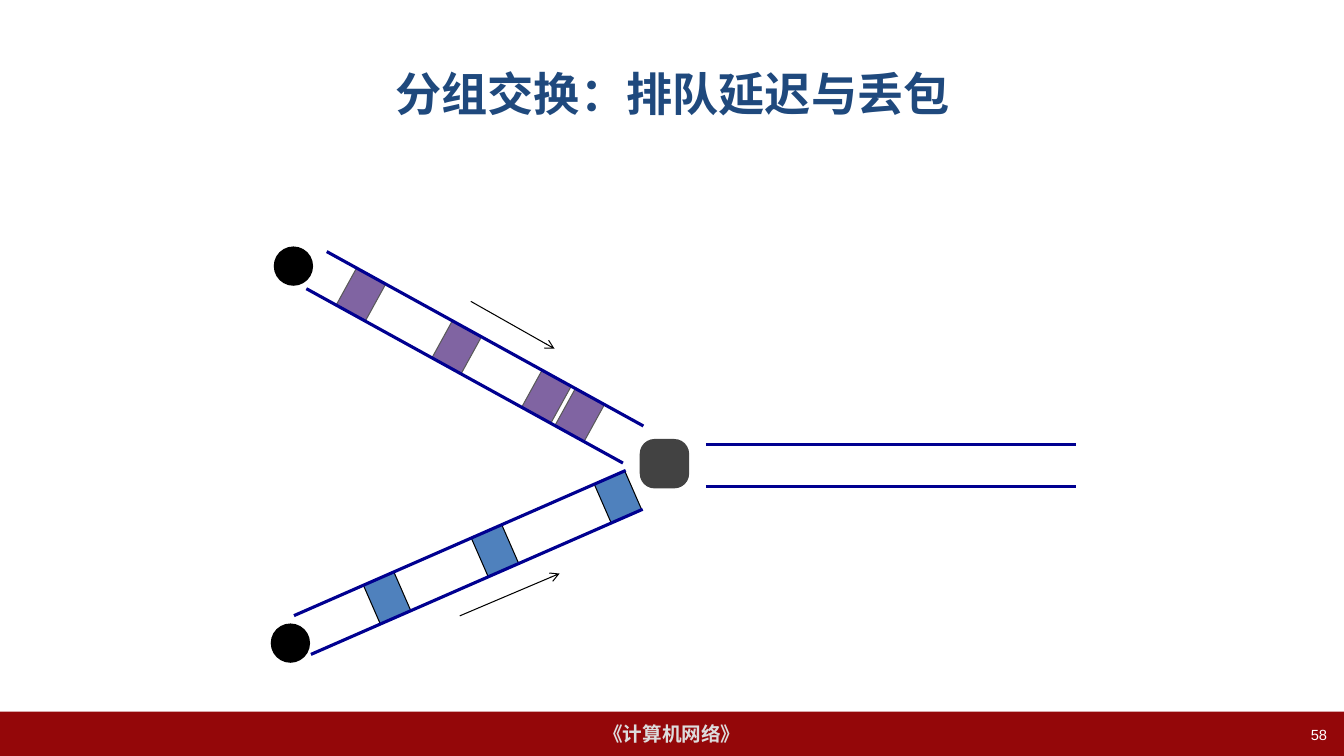
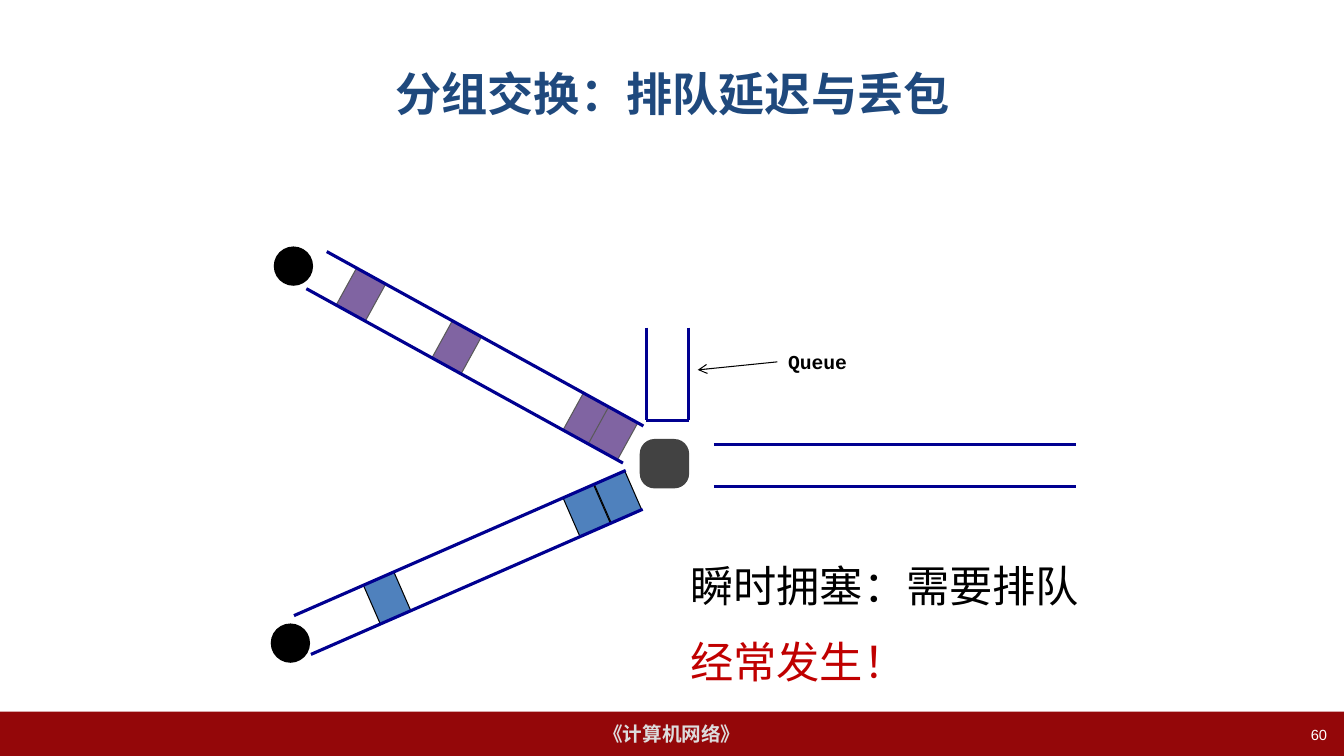
from math import atan2, cos, degrees, hypot, sin
from pptx import Presentation, util as u
from pptx.dml.color import RGBColor
from pptx.enum import shapes as es, text as et
from pptx.oxml.ns import qn
from lxml import etree

# Content: packets are horizontal offsets from the start of their lane
TITLE = "分组交换：排队延迟与丢包"
COURSE = "《计算机网络》"
PAGES = [
    dict(num="58", top=[.44, 1.39, 2.28, 2.61], low=[.84, 1.91, 3.13],
         out=7, arrows=[((4.67, 2.99), (5.5, 3.46)),
                        ((4.56, 6.11), (5.55, 5.69))]),
    dict(num="60", top=[.44, 1.39, 2.69, 2.94], low=[.84, 2.82, 3.13],
         out=7.08, queue="Queue",
         notes=[("瞬时拥塞：需要排队", "ink"), ("经常发生！", "red")]),
]


class Theme:
    font, mono = "Arial", "Courier New"
    title, note, label, foot, num = 33, 30.9, 14.1, 14, 10.5
    thick, thin = 2.25, .75
    hue = dict(ink="000000", red="C00000", head="1F497D", band="940709",
               pale="DDDDDD", white="FFFFFF", lane="000090", box="424242",
               top="8064A2", low="4F81BD", edge="595959")


# Geometry in inches
W, H = 13.33, 7.5
BAND = .44
LANE = .42                      # width of every lane
PACK = .33                      # length of a packet
TOP = (3.14, 2.68), (6.28, 4.41)
LOW = (3, 6.3), (6.29, 4.86)
HOSTS = (2.91, 2.64), (2.88, 6.38)
MID = 4.62                      # height of the outgoing lane
SWITCH = 6.59, 4.6
QUEUE = (6.62, 3.25), (6.62, 4.17)


def rgb(key):
    return RGBColor.from_string(Theme.hue[key])


def shape(page, kind, mid, size, fill, edge=None, turn=0):
    (x, y), (w, h) = mid, size
    s = page.shapes.add_shape(kind, *map(u.Inches, (x - w / 2, y - h / 2, w, h)))
    s.shadow.inherit = False
    s.fill.solid()
    s.fill.fore_color.rgb = rgb(fill)
    if edge:
        s.line.color.rgb = rgb(edge)
        s.line.width = u.Pt(Theme.thin)
    else:
        s.line.fill.background()
    s.rotation = turn
    return s


def line(page, a, b, hue="lane", wide=Theme.thick, head=False):
    c = page.shapes.add_connector(es.MSO_CONNECTOR.STRAIGHT,
                                  *map(u.Inches, a + b))
    c.line.color.rgb = rgb(hue)
    c.line.width = u.Pt(wide)
    if head:
        etree.SubElement(c.line._get_or_add_ln(), qn("a:tailEnd"), type="arrow")
    etree.SubElement(c._element.spPr, qn("a:effectLst"))
    return c


def arrow(page, a, b):
    return line(page, a, b, "ink", Theme.thin, True)


def write(frame, words, size, hue, align="LEFT", bold=False, font=Theme.font):
    p = frame.paragraphs[0]
    p.alignment = getattr(et.PP_ALIGN, align)
    r = p.add_run()
    r.text = words
    f = r.font
    f.name, f.size, f.bold = font, u.Pt(size), bold
    f.color.rgb = rgb(hue)


def label(page, at, *args, wrap=True, anchor="TOP", **look):
    box = page.shapes.add_textbox(*map(u.Inches, at))
    box.text_frame.word_wrap = wrap
    box.text_frame.vertical_anchor = getattr(et.MSO_ANCHOR, anchor)
    write(box.text_frame, *args, **look)
    return box


def lane(page, a, b, packs=(), fill=None, edge=None):
    """Draw packets between two parallel walls; return the wall ends at b."""
    dx, dy = b[0] - a[0], b[1] - a[1]
    ang = atan2(dy, dx)
    for off in packs:
        shape(page, es.MSO_SHAPE.RECTANGLE, (a[0] + off, a[1] + off * dy / dx),
              (PACK, LANE), fill, edge, degrees(ang))
    ends = []
    for side in (-LANE / 2, LANE / 2):
        sx, sy = -side * sin(ang), side * cos(ang)
        p, q = ((x + sx, y + sy) for x, y in (a, b))
        line(page, p, q)
        ends.append(q)
    return ends


def frame(page, num):
    # Footer band, title and page number
    band = shape(page, es.MSO_SHAPE.RECTANGLE, (W / 2, H - BAND / 2),
                 (W, BAND), "band")
    band.text_frame.word_wrap = False
    band.text_frame.vertical_anchor = et.MSO_ANCHOR.MIDDLE
    write(band.text_frame, COURSE, Theme.foot, "pale", "CENTER", True)
    label(page, (.67, .3, 12, 1.25), TITLE, Theme.title, "head", "CENTER",
          True, anchor="MIDDLE")
    label(page, (10.15, 7.15, 3.11, .35), num, Theme.num, "white", "RIGHT")


def draw(page, data):
    frame(page, data["num"])
    # Lanes, hosts and switch
    lane(page, *TOP, data["top"], "top", "edge")
    lane(page, *LOW, data["low"], "low", "ink")
    lane(page, (data["out"], MID), (10.67, MID))
    for host in HOSTS:
        shape(page, es.MSO_SHAPE.OVAL, host, (.39, .39), "ink")
    box = shape(page, es.MSO_SHAPE.ROUNDED_RECTANGLE, SWITCH, (.49, .49), "box")
    box.adjustments[0] = .3
    for a, b in data.get("arrows", ()):
        arrow(page, a, b)
    # Queue with its label
    if "queue" in data:
        line(page, *lane(page, *QUEUE))
        tag = label(page, (7.71, 3.42, .79, .34), data["queue"], Theme.label,
                    "ink", "RIGHT", True, Theme.mono, wrap=False)
        arrow(page, (7.71, 3.59), (6.92, 3.67)).begin_connect(tag, 1)
    # Remarks
    for i, (words, hue) in enumerate(data.get("notes", ())):
        label(page, (6.75, 5.5 + .75 * i, 4.67, .62), words, Theme.note, hue)


def main():
    deck = Presentation()
    deck.slide_width, deck.slide_height = u.Inches(W), u.Inches(H)
    for data in PAGES:
        draw(deck.slides.add_slide(deck.slide_layouts[6]), data)
    deck.save("out.pptx")


if __name__ == "__main__":
    main()
